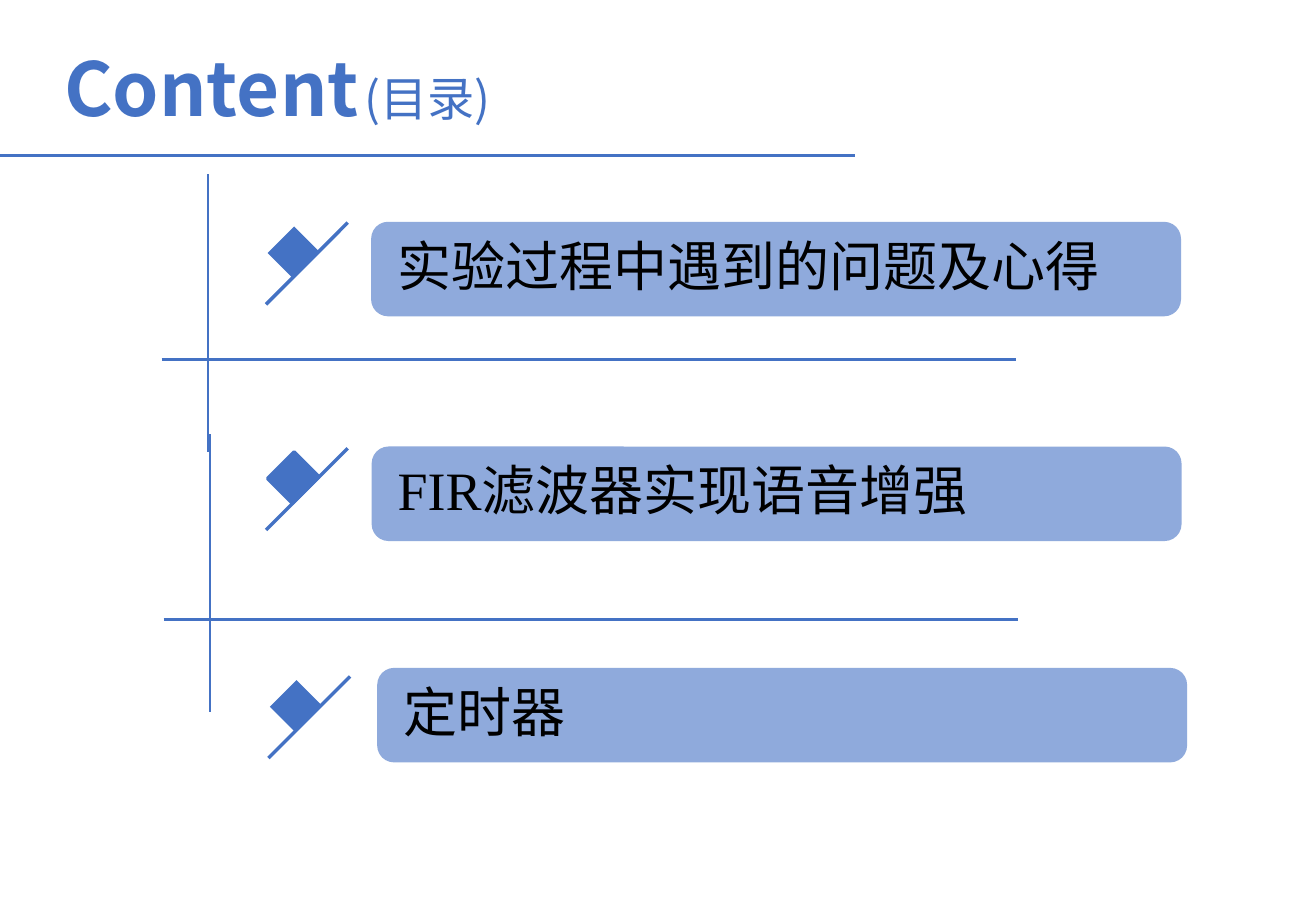
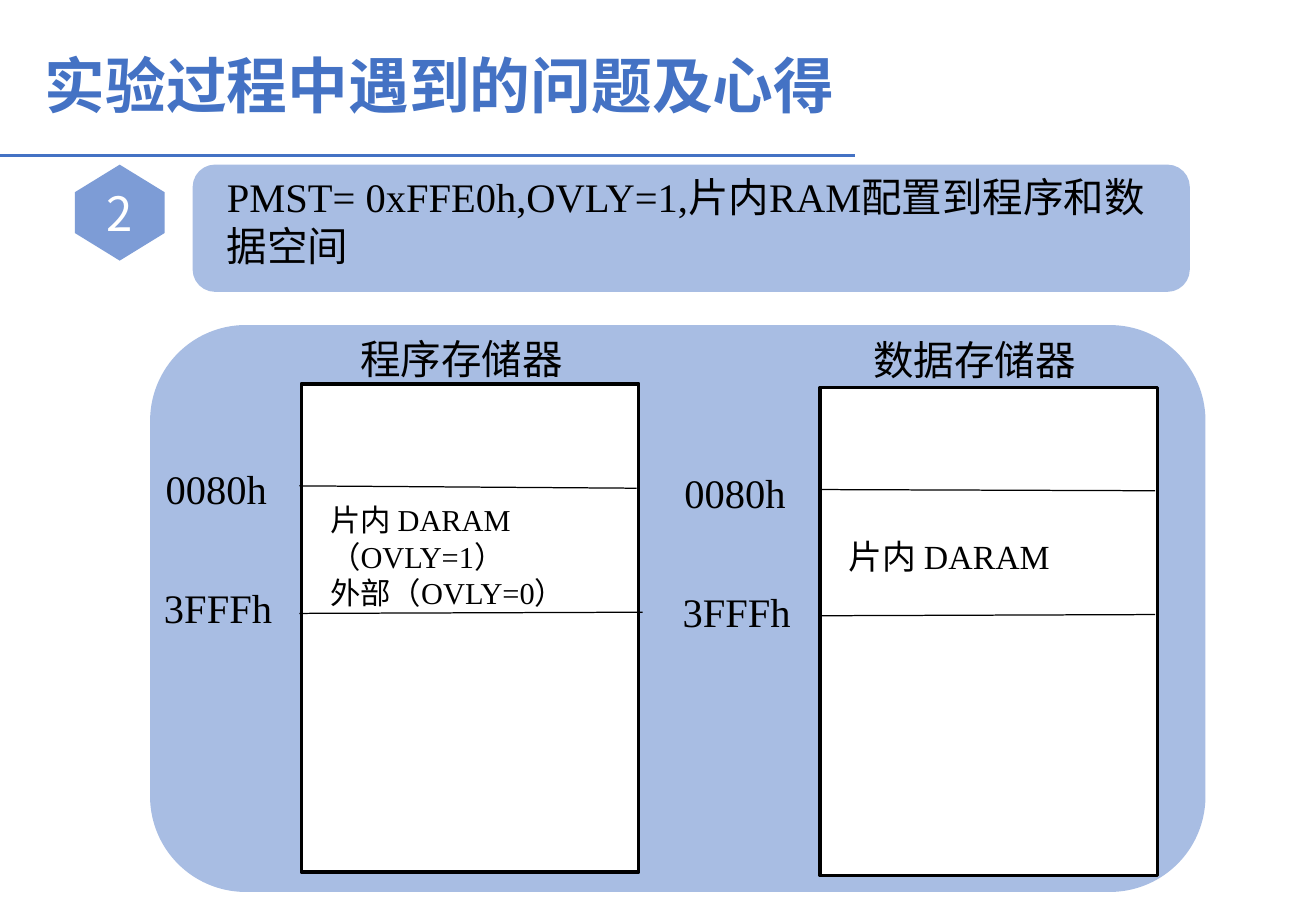
"""Build a contents slide and a memory-map slide."""
from lxml import etree
from pptx import Presentation
from pptx.dml.color import RGBColor
from pptx.enum.shapes import MSO_CONNECTOR, MSO_SHAPE
from pptx.enum.text import MSO_ANCHOR, PP_ALIGN
from pptx.oxml.ns import qn
from pptx.util import Pt

STRAIGHT = MSO_CONNECTOR.STRAIGHT
ROUND, RECT, HEXAGON = MSO_SHAPE.ROUNDED_RECTANGLE, MSO_SHAPE.RECTANGLE, MSO_SHAPE.HEXAGON
TOP, MIDDLE = MSO_ANCHOR.TOP, MSO_ANCHOR.MIDDLE
LEFT, CENTER = PP_ALIGN.LEFT, PP_ALIGN.CENTER
BLUE = RGBColor(0x44, 0x72, 0xC4)
BAR = RGBColor(0x8F, 0xAA, 0xDC)
PANEL = RGBColor(0xA8, 0xBD, 0xE3)
BADGE = RGBColor(0x7D, 0x9C, 0xD6)
BLACK = RGBColor(0, 0, 0)
WHITE = RGBColor(0xFF, 0xFF, 0xFF)
CJK, SERIF = "Noto Sans CJK SC", "Times New Roman"


def write(sp, text, size, latin=CJK, color=BLACK, bold=False, anchor=TOP, align=LEFT, inset=7.2):
    """Add text to a shape, one paragraph per line; later calls extend the first paragraph."""
    tf = sp.text_frame
    tf.word_wrap = True
    tf.vertical_anchor = anchor
    tf.margin_left = Pt(inset)
    for i, line in enumerate(text.split("\n")):
        p = tf.add_paragraph() if i else tf.paragraphs[0]
        p.alignment = align
        r = p.add_run()
        r.text = line
        r.font.size = Pt(size)
        r.font.bold = bold
        r.font.color.rgb = color
        r.font.name = latin
        etree.SubElement(r.font._element, qn("a:ea"), typeface=CJK)


def add_shape(s, kind, box, fill, line=None):
    """Add a filled shape with an optional 2 pt outline."""
    sp = s.shapes.add_shape(kind, *map(Pt, box))
    sp.shadow.inherit = False
    sp.fill.solid()
    sp.fill.fore_color.rgb = fill
    if line is None:
        sp.line.fill.background()
    else:
        sp.line.color.rgb = line
        sp.line.width = Pt(2)
    return sp


prs = Presentation()
prs.slide_width, prs.slide_height = Pt(780), Pt(540)
blank = prs.slide_layouts[6]
contents, memory = [prs.slides.add_slide(blank) for _ in range(2)]
lines = [(s, 0, 92.2, 507, 92.2, BLUE, 1.25) for s in (contents, memory)]

titles = [
    (contents, (31, 26, 626, 51), [("Content", 44, True), (" ", 14, True), ("(目录)", 28, False)]),
    (memory, (19.4, 24.5, 638, 51), [("实验过程中遇到的问题及心得", 36, True)]),
]
for s, box, runs in titles:
    title = s.shapes.add_textbox(*map(Pt, box))
    for text, size, bold in runs:
        write(title, text, size, color=BLUE, bold=bold, anchor=MIDDLE)

topics = [
    ("实验过程中遇到的问题及心得", 221, 132.5, 157.7, 132, None),
    ("FIR滤波器实现语音增强", 221.3, 265.7, 157.7, 265.7, BLUE),
    ("定时器", 224.6, 396.9, 159.1, 401, None),
]
for text, bar_x, bar_y, icon_x, icon_y, outline in topics:
    add_shape(contents, ROUND, (bar_x, bar_y, 478, 54), BAR, BAR)
    tb = contents.shapes.add_textbox(Pt(bar_x), Pt(bar_y + 1.6), Pt(474), Pt(46))
    write(tb, text, 32, latin=SERIF, inset=14.4)
    diamond = add_shape(contents, RECT, (icon_x + 5, icon_y + 7, 22.3, 20.9), BLUE, outline)
    diamond.rotation = 315
    lines.append((contents, icon_x + 48.4, icon_y, icon_x, icon_y + 48.4, BLUE, 2))

for x, y in [(95.8, 213.1), (97, 367.2)]:
    lines.append((contents, x, y, x + 506.5, y, BLUE, 1.25))
    lines.append((contents, x + 27.4, y - 109.8, x + 27.4, y + 54.6, BLUE, 1.25))

badge = add_shape(memory, HEXAGON, (42.5, 99.4, 56.9, 53.3), BADGE)
badge.rotation = 90
badge.adjustments[0] = 0.307
write(badge, "2", 28, color=WHITE, anchor=MIDDLE, align=CENTER)
badge.text_frame._txBody.bodyPr.set("vert", "vert270")

add_shape(memory, ROUND, (115.2, 98.6, 589, 73.4), PANEL, PANEL)
heading = memory.shapes.add_textbox(Pt(127.4), Pt(98.6), Pt(567), Pt(78))
write(heading, "PMST= 0xFFE0h,OVLY=1,片内RAM配置到程序和数据空间", 24, latin=SERIF)
add_shape(memory, ROUND, (90, 193.7, 623.5, 334), PANEL, PANEL)

columns = [
    (178.6, 227.5, "程序存储器", 206.6, 194.4,
     "片内 DARAM\n（OVLY=1）\n外部（OVLY=0）", 18, 293.8,
     [(288, 377.3, 289.4), (363.6, 380.9, 362.9)]),
    (486, 229.7, "数据存储器", 510.5, 195.1,
     "片内 DARAM", 20, 313.9,
     [(290.2, 684.7, 290.9), (365, 684.7, 364.3)]),
]
for x, y, name, name_x, name_y, note, note_size, note_y, borders in columns:
    add_shape(memory, RECT, (x, y, 200, 289.4), WHITE, BLACK)
    labels = [
        (name, 24, name_x, name_y, 182),
        ("0080h", 24, x - 87.5, y + 43.9, 95),
        ("3FFFh", 24, x - 88.5, y + 114.5, 95),
        (note, note_size, x + 10, note_y, 182),
    ]
    for text, size, left, top, width in labels:
        tb = memory.shapes.add_textbox(Pt(left), Pt(top), Pt(width), Pt(33))
        write(tb, text, size, latin=SERIF)
    for y1, x2, y2 in borders:
        lines.append((memory, x - 1.1, y1, x2, y2, BLACK, 0.75))

for s, x1, y1, x2, y2, color, width in lines:
    cn = s.shapes.add_connector(STRAIGHT, Pt(x1), Pt(y1), Pt(x2), Pt(y2))
    cn.line.color.rgb = color
    cn.line.width = Pt(width)
    etree.SubElement(cn._element.spPr, qn("a:effectLst"))

prs.save("out.pptx")
